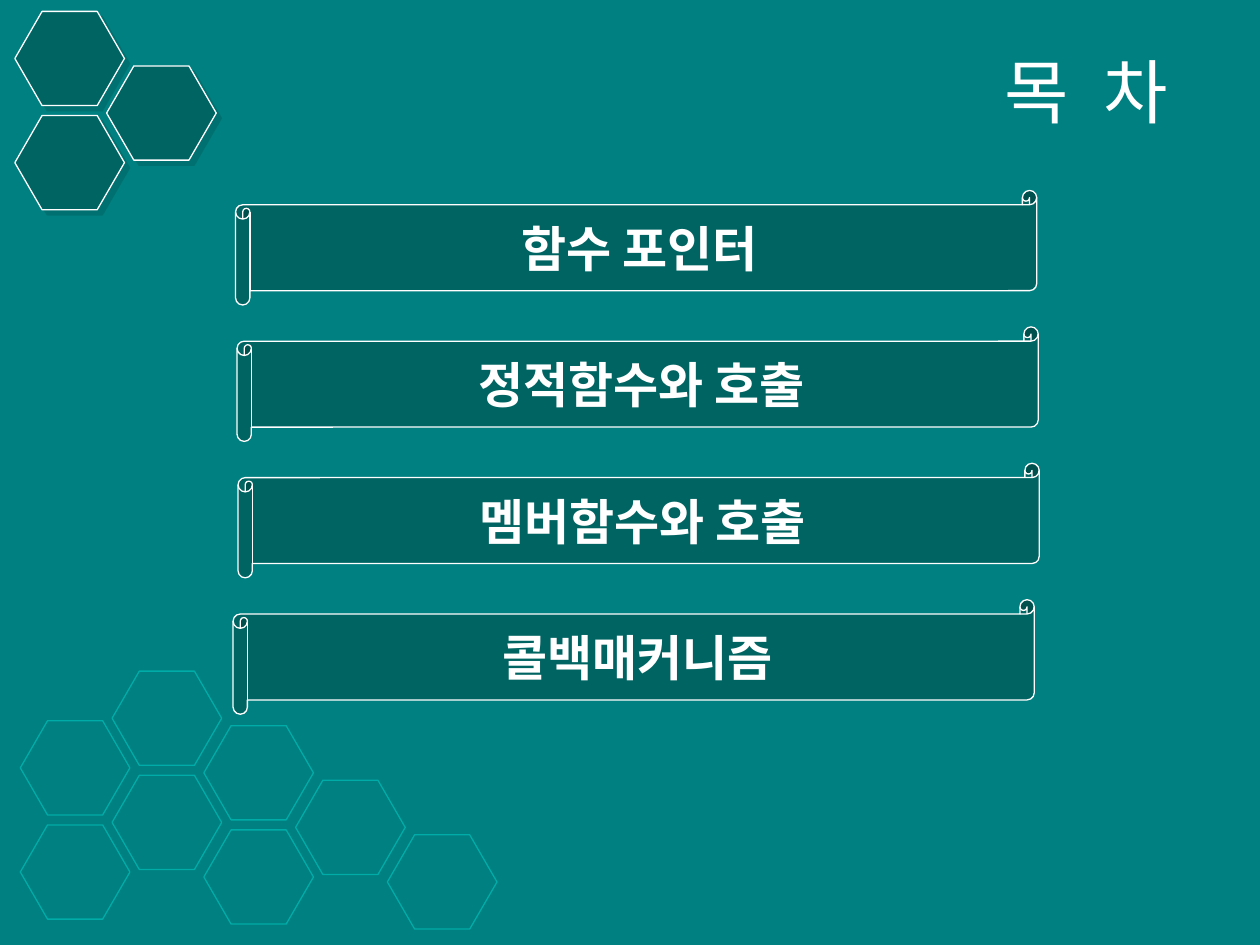
from lxml.etree import SubElement
from pptx import Presentation
from pptx.dml.color import RGBColor
from pptx.enum.shapes import MSO_SHAPE
from pptx.enum.text import MSO_ANCHOR, PP_ALIGN
from pptx.oxml.ns import qn
from pptx.util import Cm, Pt

# Content
TITLE = ("목", " ", "차")
TOPICS = [  # label, left edge in cm
    ("함수 포인터", 4.75),
    ("정적함수와 호출", 4.78),
    ("멤버함수와 호출", 4.8),
    ("콜백매커니즘", 4.7),
]

# Honeycombs: origin in cm and (column, row) cells
TOP_COMB = (0.3, 0.23), [(0, 1), (0, 0), (1, 0)]
BOTTOM_COMB = (0.41, 14.53), [(2, 0), (2, -1), (3, -1), (4, -1),
                              (1, 0), (1, -1), (0, 0), (0, 1)]
HEX_WIDTH, HEX_HEIGHT = 2.21, 1.9
COLUMN_STEP, COLUMN_DROP, ROW_STEP = 1.85, 1.1, 2.1

SCROLL_TOP, SCROLL_STEP = 3.84, 2.75
SCROLL_WIDTH, SCROLL_HEIGHT = 16.15, 2.31

TEAL, DARK, BRIGHT, WHITE = "008080", "006462", "00ACA8", "FFFFFF"


def color(hex_code):
    return RGBColor.from_string(hex_code)


def add_outlined(slide, preset, left, top, width, height, line, fill=None):
    shape = slide.shapes.add_shape(preset, Cm(left), Cm(top), Cm(width), Cm(height))
    shape.shadow.inherit = False
    if fill:
        shape.fill.solid()
        shape.fill.fore_color.rgb = color(fill)
    else:
        shape.fill.background()
    shape.line.color.rgb = color(line)
    shape.line.width = Pt(0.75)
    return shape


def cast_shadow(shape):
    effects = shape.element.spPr.find(qn("a:effectLst"))
    shadow = SubElement(effects, qn("a:outerShdw"), dist=str(Pt(4.2)),
                        dir="2700000", algn="ctr", rotWithShape="0")
    tint = SubElement(shadow, qn("a:srgbClr"), val=DARK)
    SubElement(tint, qn("a:alpha"), val="50000")


def add_comb(slide, comb, line, fill=None):
    (left, top), cells = comb
    for column, row in cells:
        hexagon = add_outlined(
            slide, MSO_SHAPE.HEXAGON, left + column * COLUMN_STEP,
            top + column * COLUMN_DROP + row * ROW_STEP,
            HEX_WIDTH, HEX_HEIGHT, line, fill)
        hexagon.adjustments[0] = 0.289
        if fill:
            cast_shadow(hexagon)


def add_title(slide):
    title = slide.shapes.title
    title.left, title.top, title.width, title.height = Cm(4.7), Cm(0.71), Cm(19.1), Cm(2.21)
    title.text_frame.vertical_anchor = MSO_ANCHOR.MIDDLE
    paragraph = title.text_frame.paragraphs[0]
    for part in TITLE:
        run = paragraph.add_run()
        run.text = part
        if part == " ":  # widen the gap between the syllables
            run.font._element.set("spc", "1100")
    paragraph.alignment = PP_ALIGN.RIGHT
    paragraph.font.name = "Arial"
    paragraph.font.size = Pt(40)
    paragraph.font.color.rgb = color(WHITE)


def add_topics(slide):
    for index, (label, left) in enumerate(TOPICS):
        scroll = add_outlined(slide, MSO_SHAPE.HORIZONTAL_SCROLL, left,
                              SCROLL_TOP + index * SCROLL_STEP,
                              SCROLL_WIDTH, SCROLL_HEIGHT, WHITE, DARK)
        scroll.text_frame.vertical_anchor = MSO_ANCHOR.MIDDLE
        paragraph = scroll.text_frame.paragraphs[0]
        paragraph.text = label
        paragraph.alignment = PP_ALIGN.CENTER
        font = paragraph.font
        font.name = "Noto Sans CJK KR"
        font.size = Pt(28)
        font.bold = True
        font.color.rgb = color(WHITE)
        # Hangul takes the East Asian typeface
        SubElement(font._element, qn("a:ea"), typeface="Noto Sans CJK KR")


def main():
    deck = Presentation()
    deck.slide_width, deck.slide_height = Cm(25.4), Cm(19.05)
    slide = deck.slides.add_slide(deck.slide_layouts[5])
    slide.background.fill.solid()
    slide.background.fill.fore_color.rgb = color(TEAL)

    add_comb(slide, BOTTOM_COMB, BRIGHT)
    add_comb(slide, TOP_COMB, WHITE, DARK)
    add_title(slide)
    add_topics(slide)
    deck.save("out.pptx")


if __name__ == "__main__":
    main()
